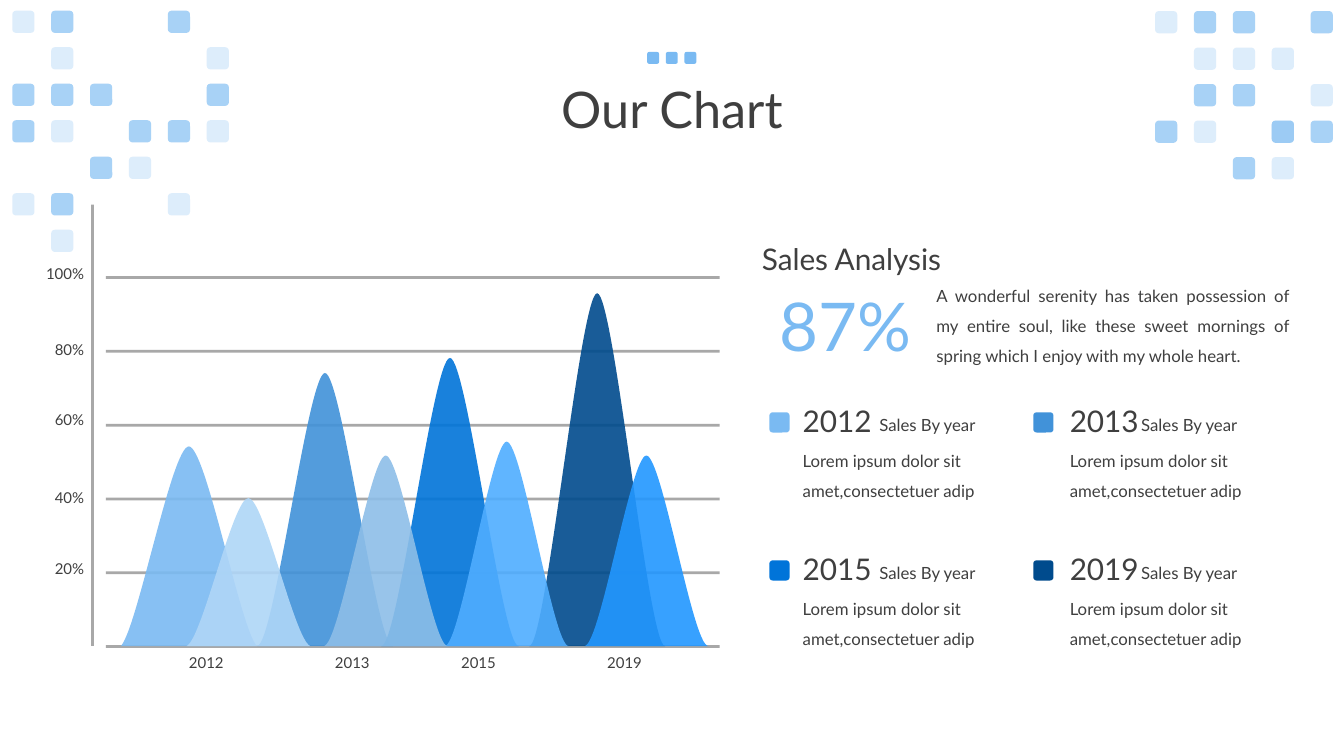
from lxml import etree
from pptx import Presentation
from pptx import util as u
from pptx.dml import color
from pptx.enum import shapes, text
from pptx.oxml import ns

Cm, Pt = u.Cm, u.Pt
FONT = "Lato"
COLORS = {
    "ink": "3F3F3F", "grid": "9F9F9F", "sky": "7ABAF2", "steel": "4192D9",
    "blue": "0074D9", "navy": "004B8D", "pale": "AFD6F7", "bright": "2297FF",
    "azure": "4FADFF", "mist": "8DBEE8",
}
ALIGN = text.PP_ALIGN
RECT, ROUNDED = shapes.MSO_SHAPE.RECTANGLE, shapes.MSO_SHAPE.ROUNDED_RECTANGLE

# Tile patterns: o is faint, # is strong, * is one of each on top of the other
TILE_ALPHAS = {".": (), "o": (25,), "#": (65,), "*": (65, 25)}
LEFT_TILES = ["o#..#.", ".o...o", "###..#", "#o.##o", "..#o..", "o#..o.", ".o...."]
RIGHT_TILES = ["o##.#", ".ooo.", ".##.o", "#o.*#", "..#o."]

# Peaks: colour, apex x, apex y, half width, lift of the foot (cm)
BASELINE = 16.28
PEAKS = [
    ("sky", 4.76, 11.25, 1.71, 0.5), ("navy", 15.05, 7.39, 1.71, 0),
    ("steel", 8.19, 9.4, 1.71, 0), ("blue", 11.34, 9.02, 1.73, 0),
    ("pale", 6.26, 12.55, 1.56, 0.15), ("bright", 16.29, 11.48, 1.56, 0),
    ("azure", 12.77, 11.13, 1.56, 0), ("mist", 9.72, 11.48, 1.56, 0),
]
# Scale labels: text, top, width; year labels: text, left
SCALE = [("20%", 13.97, 1.27), ("40%", 12.19, 1.27), ("60%", 10.21, 1.27),
         ("80%", 8.46, 1.27), ("100%", 6.53, 1.5)]
YEARS = [("2012", 4.5), ("2013", 8.18), ("2015", 11.36), ("2019", 15.04)]

# Card columns: marker left, text left, year width, caption left, body width
COLUMNS = [(19.39, 19.9, 2.87, 21.83, 5.5), (26.04, 26.63, 3.2, 28.43, 5.74)]
CARDS = [("2012", "sky"), ("2013", "steel"), ("2015", "blue"), ("2019", "navy")]


def rgb(name):
    return color.RGBColor.from_string(COLORS[name])


def set_values(target, values):
    for name, value in values.items():
        setattr(target, name, value)


def paint(shape, fill, alpha=100):
    """Flat fill with optional opacity, no line and no shadow."""
    shape.shadow.inherit = False
    shape.fill.solid()
    shape.fill.fore_color.rgb = rgb(fill)
    shape.line.fill.background()
    if alpha < 100:
        tint = shape.element.find(".//" + ns.qn("a:srgbClr"))
        etree.SubElement(tint, ns.qn("a:alpha"), val=str(alpha * 1000))


def add_block(owner, kind, left, top, width, height, fill, alpha=100):
    shape = owner.shapes.add_shape(kind, Cm(left), Cm(top), Cm(width), Cm(height))
    paint(shape, fill, alpha)


def write(frame, words, size, fill="ink", **layout):
    para = frame.paragraphs[0]
    set_values(para, layout)
    span = para.add_run()
    span.text = words
    set_values(span.font, {"name": FONT, "size": Pt(size)})
    span.font.color.rgb = rgb(fill)


def add_words(page, words, at, size, fill="ink", wrap=False, grow=True,
              inset=(0.25, 0.13), **layout):
    box = page.shapes.add_textbox(*(Cm(length) for length in at))
    across, down = (Cm(length) for length in inset)
    fit = text.MSO_AUTO_SIZE
    set_values(box.text_frame, {
        "word_wrap": wrap,
        "auto_size": fit.SHAPE_TO_FIT_TEXT if grow else fit.NONE,
        "margin_left": across, "margin_right": across,
        "margin_top": down, "margin_bottom": down,
    })
    write(box.text_frame, words, size, fill, **layout)


def bend(segment, *controls):
    """Turn a line segment of a path into a cubic curve."""
    segment.tag = ns.qn("a:cubicBezTo")
    for index, (x, y) in enumerate(controls):
        point = etree.Element(ns.qn("a:pt"), x=str(Cm(x)), y=str(Cm(y)))
        segment.insert(index, point)


def add_peak(page, fill, apex, top, half, lift):
    """Bell outline: one cubic curve up to the apex and one down."""
    builder = page.shapes.build_freeform(Cm(apex - half), Cm(BASELINE))
    builder.add_line_segments([(Cm(apex), Cm(top)), (Cm(apex + half), Cm(BASELINE))])
    shape = builder.convert_to_shape()
    foot = BASELINE - lift - top
    rise, fall = shape.element.findall(".//" + ns.qn("a:lnTo"))[:2]
    bend(rise, (half / 4, foot), (half * 3 / 4, 0))
    bend(fall, (half * 5 / 4, 0), (half * 7 / 4, foot))
    paint(shape, fill, 90)


def add_tiles(page, left, top, pattern):
    group = page.shapes.add_group_shape()
    for row, line in enumerate(pattern):
        for column, mark in enumerate(line):
            for alpha in TILE_ALPHAS[mark]:
                add_block(group, ROUNDED, left + 0.98 * column, top + 0.92 * row,
                          0.56, 0.56, "sky", alpha)


def add_card(page, year, fill, column, top):
    marker, left, year_width, caption, body_width = column
    style = {"wrap": True, "inset": (0.33, 0.18)}
    add_words(page, year, (left, top, year_width, 1.4), 21.3, grow=False, **style)
    add_words(page, "Sales By year", (caption, top + 0.3, 3.77, 0.74), 12,
              grow=False, **style)
    add_words(page, "Lorem ipsum dolor sit amet,consectetuer adip",
              (left, top + 0.95, body_width, 1.78), 12, line_spacing=1.5, **style)
    add_block(page, ROUNDED, marker, top + 0.41, 0.51, 0.51, fill)


def add_title(page):
    title = page.shapes.title
    set_values(title, {"left": Cm(2.33), "top": Cm(0.99),
                       "width": Cm(29.21), "height": Cm(3.68)})
    title.text_frame.vertical_anchor = text.MSO_ANCHOR.MIDDLE
    write(title.text_frame, "Our Chart", 36, alignment=ALIGN.CENTER, line_spacing=0.9)


def add_peak_chart(page):
    for index in range(6):
        add_block(page, RECT, 2.67, 6.96 + 1.86 * index, 15.47, 0.07, "grid", 90)
    add_block(page, RECT, 2.3, 5.16, 0.07, 11.12, "grid", 90)
    for peak in PEAKS:
        add_peak(page, *peak)
    for label, top, width in SCALE:
        add_words(page, label, (2.37 - width, top, width, 0.71), 10.7,
                  alignment=ALIGN.RIGHT)
    for year, left in YEARS:
        add_words(page, year, (left, 16.35, 1.4, 0.71), 10.7, alignment=ALIGN.CENTER)


def add_analysis(page):
    add_words(page, "Sales Analysis", (18.95, 5.93, 5.38, 1.17), 21.3)
    add_words(page, "A wonderful serenity has taken possession of my entire soul, "
              "like these sweet mornings of spring which I enjoy with my whole heart.",
              (23.35, 6.81, 9.4, 2.46), 12, wrap=True,
              alignment=ALIGN.JUSTIFY, line_spacing=1.5)
    add_words(page, "87%", (19.4, 7.04, 3.89, 2.31), 48, "sky")
    for index, (year, fill) in enumerate(CARDS):
        row, column = divmod(index, 2)
        add_card(page, year, fill, COLUMNS[column], 9.98 + 3.73 * row)


def main():
    deck = Presentation()
    set_values(deck, {"slide_width": Cm(33.87), "slide_height": Cm(19.05)})
    page = deck.slides.add_slide(deck.slide_layouts[5])

    add_title(page)
    add_peak_chart(page)
    add_analysis(page)

    # Corner tiles and the dots above the title
    add_tiles(page, 0.31, 0.27, LEFT_TILES)
    add_tiles(page, 29.11, 0.28, RIGHT_TILES)
    dots = page.shapes.add_group_shape()
    for index in range(3):
        add_block(dots, ROUNDED, 16.31 + 0.47 * index, 1.31, 0.3, 0.3, "sky")

    deck.save("out.pptx")


if __name__ == "__main__":
    main()
